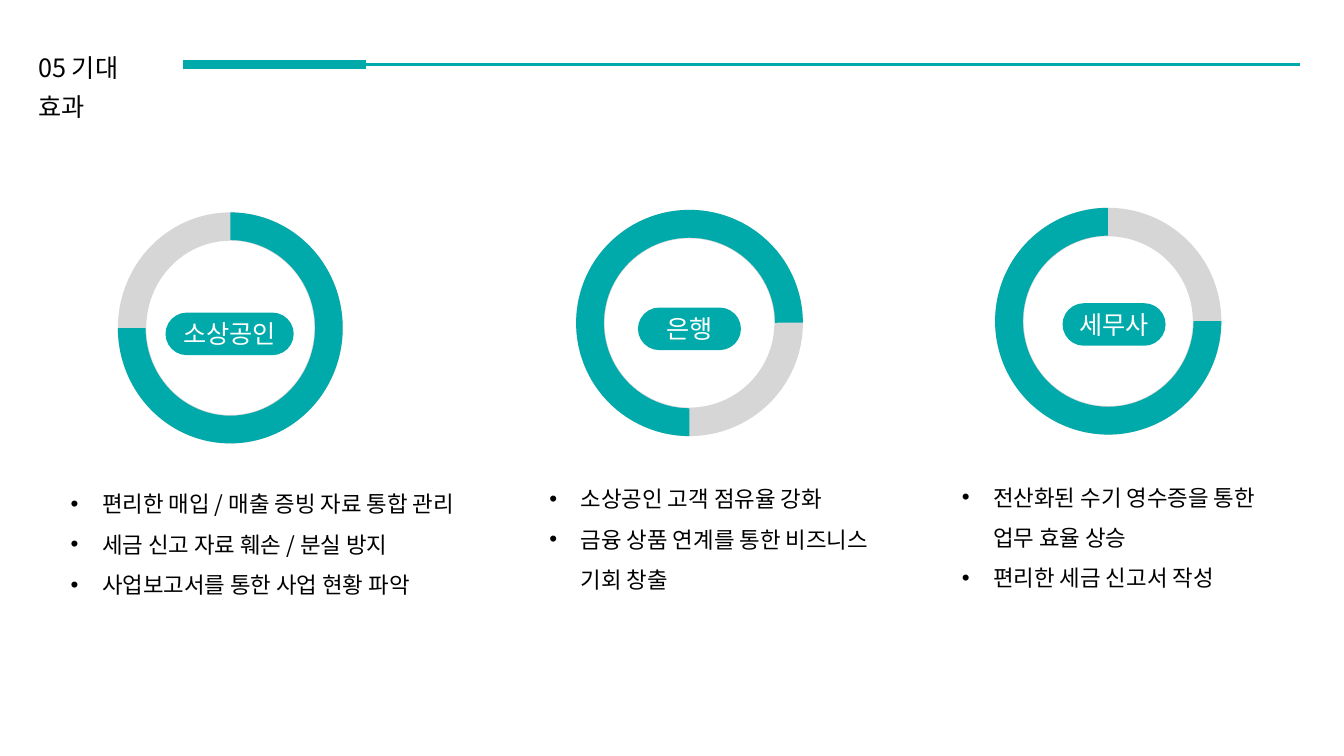
from lxml import etree
from pptx import Presentation
from pptx.dml.color import RGBColor
from pptx.enum import shapes, text
from pptx.oxml import ns
from pptx.util import Pt

TEAL = RGBColor(0x00, 0xAA, 0xAA)
GREY = RGBColor(0xA6, 0xA6, 0xA6)
WHITE = RGBColor(0xFF, 0xFF, 0xFF)
BLACK = RGBColor(0x00, 0x00, 0x00)
FONT = "Noto Sans CJK KR"


def add_run(p, words, size, color):
    r = p.add_run()
    r.text = words
    r.font.size, r.font.name = Pt(size), FONT
    r.font.color.rgb = color
    east_asian = etree.SubElement(r.font._element, ns.qn("a:ea"))
    east_asian.set("typeface", FONT)


def set_frame(tf):
    tf.word_wrap = True
    tf.auto_size = text.MSO_AUTO_SIZE.NONE
    tf.vertical_anchor = text.MSO_ANCHOR.TOP
    tf.margin_left = tf.margin_right = tf.margin_top = 0
    tf.margin_bottom = Pt(3.6)


def add_bullet(p, indent):
    pPr = p._p.get_or_add_pPr()
    pPr.set("marL", str(Pt(indent)))
    pPr.set("indent", str(Pt(-indent)))
    etree.SubElement(pPr, ns.qn("a:buFont")).set("typeface", "Arial")
    etree.SubElement(pPr, ns.qn("a:buChar")).set("char", "•")


def add_solid(s, kind, cx, cy, w, h, color, adjustments, rotation=0):
    """Place a borderless shape around its centre point."""
    sp = s.shapes.add_shape(kind, Pt(cx - w / 2), Pt(cy - h / 2), Pt(w), Pt(h))
    for i, value in enumerate(adjustments):
        sp.adjustments[i] = value
    sp.rotation = rotation
    sp.shadow.inherit = False
    sp.fill.solid()
    sp.fill.fore_color.rgb = color
    sp.line.fill.background()
    return sp


def add_rule(s, x1, x2, y, weight):
    line = s.shapes.add_connector(
        shapes.MSO_CONNECTOR.STRAIGHT, Pt(x1), Pt(y), Pt(x2), Pt(y))
    line.line.color.rgb = TEAL
    line.line.width = Pt(weight)
    etree.SubElement(line._element.spPr, ns.qn("a:effectLst"))


def header(s, x, y, w):
    # Section title
    title = s.shapes.title
    title.left, title.top, title.width, title.height = Pt(x), Pt(y), Pt(94), Pt(32)
    tf = title.text_frame
    set_frame(tf)
    p = tf.paragraphs[0]
    p.alignment = text.PP_ALIGN.LEFT
    p.line_spacing = 1.3
    p.space_before = Pt(0)
    add_run(p, "05 기대 효과", 18, BLACK)
    # Thin rule with a heavy start
    add_rule(s, x + 168.5, x + w, y + 15.1, 2.25)
    add_rule(s, x + 103, x + 234, y + 15.1, 6)


def ring(s, cx, cy, w, h, rotation):
    base = add_solid(s, shapes.MSO_SHAPE.DONUT, cx, cy, w, h, GREY, [0.126], rotation)
    color = base.fill._xPr.find(ns.qn("a:solidFill"))[0]
    etree.SubElement(color, ns.qn("a:alpha")).set("val", "45000")
    add_solid(s, shapes.MSO_SHAPE.BLOCK_ARC, cx, cy, w, h, TEAL,
              [108, 53.9, 0.123], rotation)


def label(s, cx, cy, w, words):
    pill = add_solid(s, shapes.MSO_SHAPE.ROUNDED_RECTANGLE, cx, cy, w, 30.4, TEAL, [0.5])
    tf = pill.text_frame
    tf.word_wrap = True
    tf.vertical_anchor = text.MSO_ANCHOR.MIDDLE
    p = tf.paragraphs[0]
    p.alignment = text.PP_ALIGN.CENTER
    add_run(p, words, 18, WHITE)


def benefits(s, x, y, w, items):
    tf = s.shapes.add_textbox(Pt(x), Pt(y), Pt(w), Pt(90)).text_frame
    set_frame(tf)
    for i, item in enumerate(items):
        p = tf.add_paragraph() if i else tf.paragraphs[0]
        p.line_spacing = 1.5
        add_bullet(p, 22.5)
        for j, row in enumerate(item.split("\n")):
            if j:
                p.add_line_break()
            add_run(p, row, 16, BLACK)


def audience(s, x, y, w, ring_x, ring_size, rotation, pill, name, items):
    """One column: ring, pill label and benefit list; y is the ring centre."""
    pill_dx, pill_dy, pill_w = pill
    ring(s, x + ring_x, y, *ring_size, rotation)
    label(s, x + ring_x + pill_dx, y + pill_dy, pill_w, name)
    benefits(s, x, y + 106.5, w, items)


AUDIENCES = [
    (50.4, 234.2, 288, 114.1, (165, 160.6), 90, (-0.5, 4.3, 91.6), "소상공인",
     ["편리한 매입 / 매출 증빙 자료 통합 관리",
      "세금 신고 자료 훼손 / 분실 방지",
      "사업보고서를 통한 사업 현황 파악"]),
    (392.4, 230.7, 240.5, 100.1, (161.6, 162), 270, (0, 4.2, 73.6), "은행",
     ["소상공인 고객 점유율 강화",
      "금융 상품 연계를 통한 비즈니스 기회 창출"]),
    (687, 229.4, 258.5, 104.6, (161.6, 162), 180, (4.2, 2.4, 73.6), "세무사",
     ["전산화된 수기 영수증을 통한\n업무 효율 상승",
      "편리한 세금 신고서 작성"]),
]

prs = Presentation()
prs.slide_width, prs.slide_height = Pt(960), Pt(540)
s = prs.slides.add_slide(prs.slide_layouts[5])
header(s, 27.4, 31, 901.4)
for column in AUDIENCES:
    audience(s, *column)
prs.save("out.pptx")
